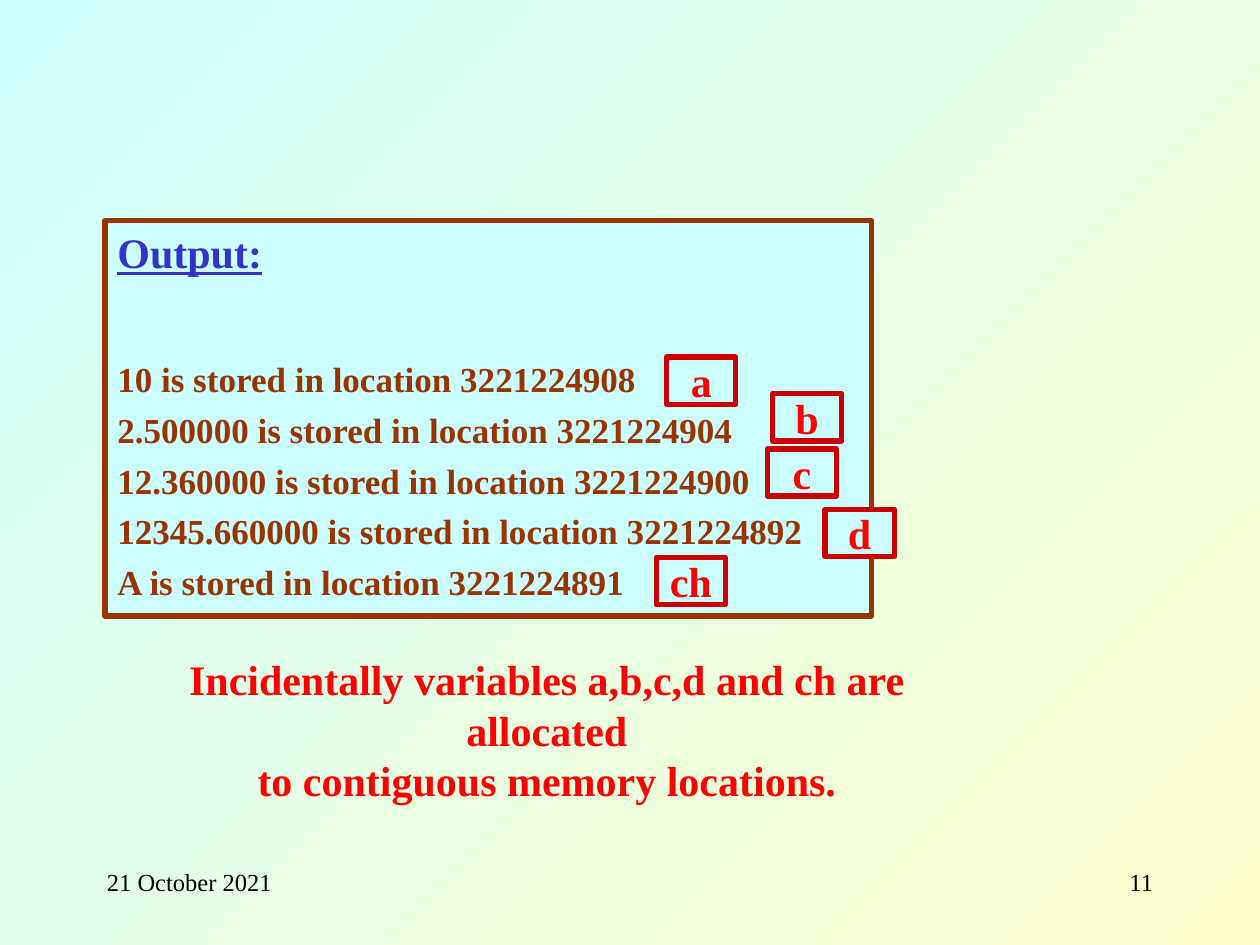
import pptx
import pptx.util
import pptx.dml.color
import pptx.enum.shapes
import pptx.enum.text

Pt = pptx.util.Pt
ALIGN = pptx.enum.text.PP_ALIGN
ANCHOR = pptx.enum.text.MSO_ANCHOR

# Content
HEADING = "Output:"
OUTPUT_LINES = [
    "10 is stored in location 3221224908",
    "2.500000 is stored in location 3221224904",
    "12.360000 is stored in location 3221224900",
    "12345.660000 is stored in location 3221224892",
    "A is stored in location 3221224891",
]
VARIABLES = [  # name, left, top
    ("a", 381, 204),
    ("b", 441.5, 225),
    ("c", 438.5, 256.5),
    ("d", 471.5, 291),
    ("ch", 375, 318.5),
]
REMARK = [
    "Incidentally variables a,b,c,d and ch are allocated",
    "to contiguous memory locations.",
]
FOOTER = [  # text, left, alignment
    ("21 October 2021", 54, ALIGN.LEFT),
    ("11", 516, ALIGN.RIGHT),
]

FONT = "Times New Roman"
COLOURS = {
    "sky": "CCFFFF", "cream": "FFFFCC", "brown": "993300", "blue": "3333CC",
    "red": "FF0000", "dark red": "CC0000", "black": "000000",
}


def rgb(name):
    return pptx.dml.color.RGBColor.from_string(COLOURS[name])


def style(paragraph, size, colour, bold=True, align=ALIGN.LEFT, before=0):
    paragraph.alignment = align
    paragraph.space_before = Pt(before)
    for run in paragraph.runs:
        run.font.name = FONT
        run.font.size = Pt(size)
        run.font.bold = bold
        run.font.color.rgb = rgb(colour)


def add_frame(left, top, width, height, line):
    frame = slide.shapes.add_shape(
        pptx.enum.shapes.MSO_SHAPE.RECTANGLE,
        Pt(left), Pt(top), Pt(width), Pt(height))
    frame.shadow.inherit = False
    frame.fill.solid()
    frame.fill.fore_color.rgb = rgb("sky")
    frame.line.color.rgb = rgb(line)
    frame.line.width = Pt(3)
    return frame.text_frame


deck = pptx.Presentation()
deck.slide_width, deck.slide_height = Pt(720), Pt(540)
slide = deck.slides.add_slide(deck.slide_layouts[6])

# Background, from the top left to the bottom right
backdrop = slide.background.fill
backdrop.gradient()
backdrop.gradient_angle = 315
for stop, colour in zip(backdrop.gradient_stops, ("sky", "cream")):
    stop.color.rgb = rgb(colour)

# Date and page number
for text, left, align in FOOTER:
    footer = slide.shapes.add_textbox(Pt(left), Pt(492), Pt(150), Pt(36)).text_frame
    footer.word_wrap = True
    footer.text = text
    style(footer.paragraphs[0], 14, "black", bold=False, align=align)

# Program output
output = add_frame(60, 126, 438, 226, "brown")
output.word_wrap = True
output.vertical_anchor = ANCHOR.TOP
output.text = "\n".join([HEADING] + OUTPUT_LINES)
heading, *lines = output.paragraphs
style(heading, 24, "blue")
heading.runs[0].font.underline = True
for line in lines:
    style(line, 20, "brown", before=5)
lines[0].space_before = Pt(46)

# Remark below the output
remark = slide.shapes.add_textbox(Pt(52), Pt(370), Pt(521), Pt(65)).text_frame
remark.word_wrap = False
remark.text = "\n".join(REMARK)
for line in remark.paragraphs:
    style(line, 24, "red", align=ALIGN.CENTER)

# Variable name beside each output line
for name, left, top in VARIABLES:
    variable = add_frame(left, top, 39.5, 27, "dark red")
    variable.word_wrap = False
    variable.vertical_anchor = ANCHOR.MIDDLE
    variable.text = name
    style(variable.paragraphs[0], 24, "red", align=ALIGN.CENTER)

deck.save("out.pptx")
